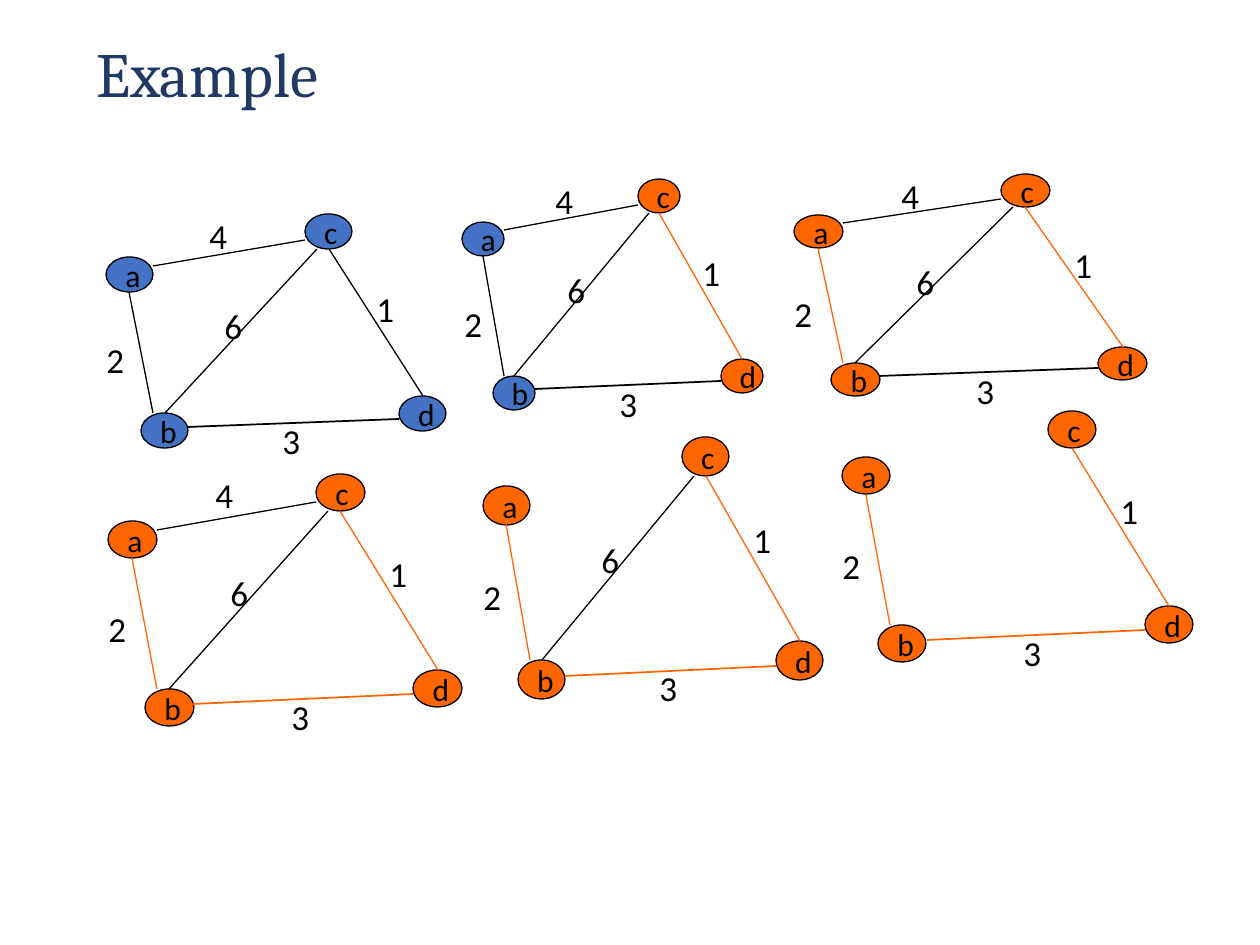
from dataclasses import dataclass

from lxml import etree
from pptx import Presentation
from pptx.dml.color import RGBColor
from pptx.enum.shapes import MSO_CONNECTOR, MSO_SHAPE
from pptx.enum.text import MSO_ANCHOR, MSO_AUTO_SIZE, PP_ALIGN
from pptx.oxml.ns import qn
from pptx.util import Emu, Pt

STRAIGHT = MSO_CONNECTOR.STRAIGHT
OVAL = MSO_SHAPE.OVAL
MIDDLE = MSO_ANCHOR.MIDDLE
TOP = MSO_ANCHOR.TOP
LEFT = PP_ALIGN.LEFT
GROW = MSO_AUTO_SIZE.SHAPE_TO_FIT_TEXT
BLANK_LAYOUT = 6

PX_PER_INCH = 126
SLIDE_SIZE = (1260, 945)
LABEL_SIZE = (43, 55)

# Each graph lies on a grid of 29 columns and 27 rows
COLUMNS, ROWS = 29, 27
NODE_SPAN = 4
NODES = {"c": (17, 0), "d": (25, 21), "b": (3, 23), "a": (0, 5)}


@dataclass(frozen=True)
class Edge:
    start: tuple
    end: tuple
    weight: str
    label: tuple
    label_columns: float = 0  # 0 means a label that does not wrap
    line_width: float = 0.75


EDGES = {
    "ac": Edge((4, 6), (17, 3), "4", (7.8, -0.75)),
    "ab": Edge((4, 23), (2, 9), "2", (-1, 13.65)),
    "bc": Edge((5, 23), (18, 4), "6", (9, 9.75)),
    "cd": Edge((27, 21), (19, 4), "1", (22, 7.7)),
    "bd": Edge((7, 24.6), (25, 23.6), "3", (14, 23), 3.9, 1),
}

# Steps of the algorithm: frame (left, top, width, height), chosen, dropped
STEPS = [
    ((106, 214, 340, 234), [], []),
    ((462, 179, 301, 231), ["cd"], []),
    ((794, 174, 353, 222), ["cd", "ab"], []),
    ((108, 474, 354, 252), ["cd", "ab", "bd"], []),
    ((483, 437, 340, 262), ["cd", "ab", "bd"], ["ac"]),
    ((842, 411, 351, 251), ["cd", "ab", "bd"], ["ac", "bc"]),
]


@dataclass(frozen=True)
class Theme:
    title: str = "203864"
    ink: str = "000000"
    open_node: str = "4472C4"
    chosen: str = "FF6600"
    title_font: str = "Cambria"
    body_font: str = "Calibri"
    title_size: int = 36
    node_size: int = 18
    label_size: int = 20
    outline: float = 0.75


def px(length):
    return Emu(round(round(length) * 914400 / PX_PER_INCH))


def color(value):
    return RGBColor.from_string(value)


class SlideBuilder:
    def __init__(self, slide, theme):
        self.slide = slide
        self.theme = theme

    def set_text(self, shape, text, size, font, ink, anchor=TOP, wrap=False):
        text_frame = shape.text_frame
        text_frame.text = text
        text_frame.word_wrap = wrap
        text_frame.vertical_anchor = anchor
        paragraph = text_frame.paragraphs[0]
        paragraph.alignment = LEFT
        run_font = paragraph.runs[0].font
        run_font.name = font
        run_font.size = Pt(size)
        run_font.color.rgb = color(ink)
        return paragraph

    def title(self, text, left, top, width, height):
        theme = self.theme
        box = self.slide.shapes.add_textbox(*map(px, (left, top, width, height)))
        paragraph = self.set_text(box, text, theme.title_size, theme.title_font,
                                  theme.title, MIDDLE, wrap=True)
        paragraph.line_spacing = 0.9

    def node(self, shapes, name, frame, fill):
        theme = self.theme
        shape = shapes.add_shape(OVAL, *map(px, frame))
        shape.shadow.inherit = False
        shape.fill.solid()
        shape.fill.fore_color.rgb = color(fill)
        shape.line.color.rgb = color(theme.ink)
        shape.line.width = Pt(theme.outline)
        self.set_text(shape, name, theme.node_size, theme.body_font, theme.ink, MIDDLE)

    def line(self, shapes, start, end, ink, width):
        connector = shapes.add_connector(STRAIGHT, *map(px, start + end))
        connector.line.color.rgb = color(ink)
        connector.line.width = Pt(width)
        etree.SubElement(connector._element.spPr, qn("a:effectLst"))

    def label(self, shapes, text, position, width=0):
        theme = self.theme
        size = (width or LABEL_SIZE[0], LABEL_SIZE[1])
        box = shapes.add_textbox(*map(px, position + size))
        self.set_text(box, text, theme.label_size, theme.body_font, theme.ink,
                      wrap=bool(width))
        box.text_frame.auto_size = GROW

    def graph(self, frame, chosen, dropped):
        theme = self.theme
        left, top, width, height = frame
        column, row = width / COLUMNS, height / ROWS
        shapes = self.slide.shapes.add_group_shape().shapes

        def place(point):
            return left + point[0] * column, top + point[1] * row

        # Nodes touched by a chosen edge take its colour
        reached = set("".join(chosen))
        node_size = (NODE_SPAN * column, NODE_SPAN * row)
        for name, point in NODES.items():
            fill = theme.chosen if name in reached else theme.open_node
            self.node(shapes, name, place(point) + node_size, fill)

        # Remaining edges with their weights
        for name, edge in EDGES.items():
            if name in dropped:
                continue
            ink = theme.chosen if name in chosen else theme.ink
            self.line(shapes, place(edge.start), place(edge.end), ink, edge.line_width)
            self.label(shapes, edge.weight, place(edge.label),
                       edge.label_columns * column)


def main():
    presentation = Presentation()
    presentation.slide_width, presentation.slide_height = map(px, SLIDE_SIZE)
    slide = presentation.slides.add_slide(presentation.slide_layouts[BLANK_LAYOUT])
    builder = SlideBuilder(slide, Theme())

    builder.title("Example", 84, 20, 1086, 115)
    for frame, chosen, dropped in STEPS:
        builder.graph(frame, chosen, dropped)

    presentation.save("out.pptx")


if __name__ == "__main__":
    main()
